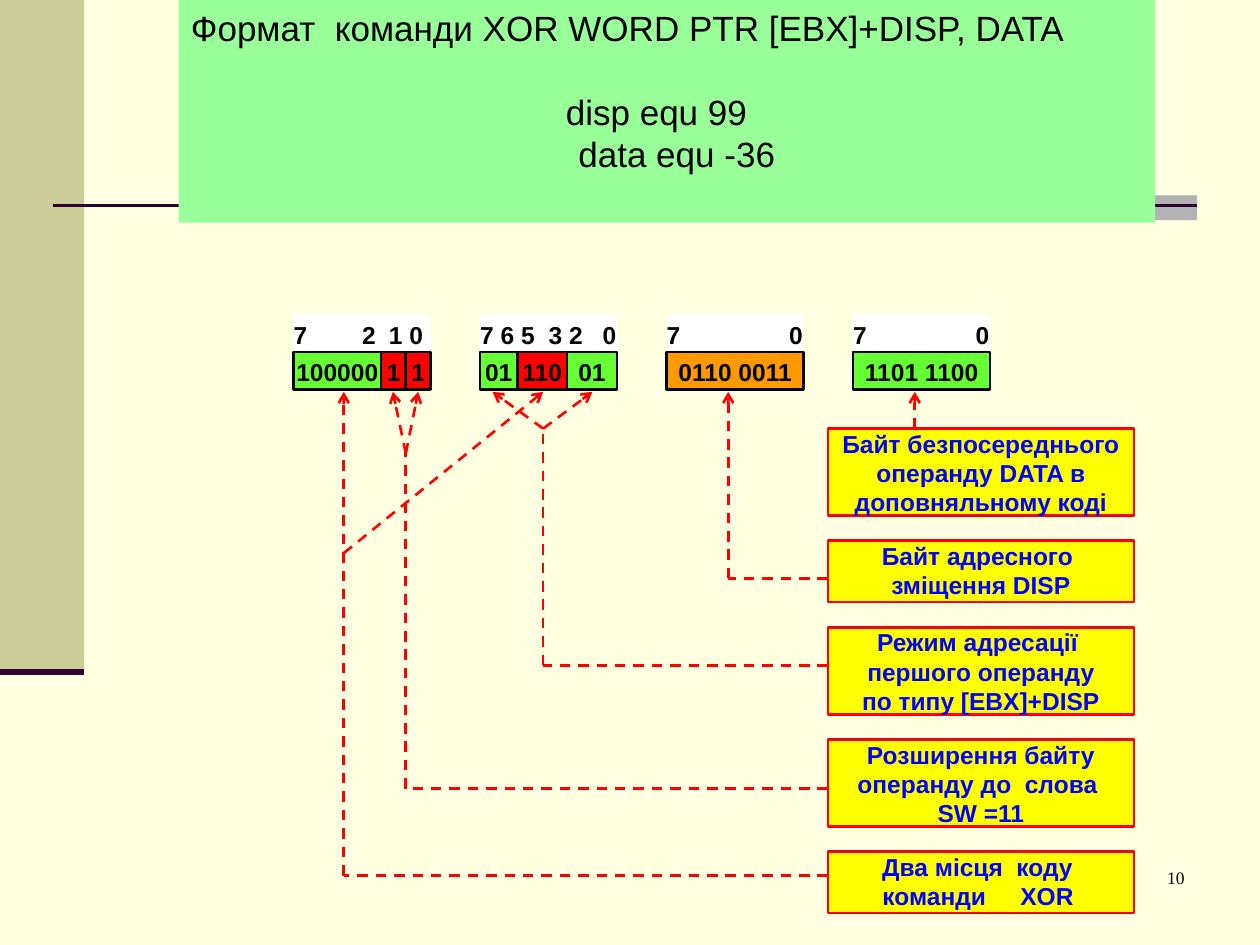
from itertools import pairwise

from lxml.etree import SubElement
from pptx import Presentation
from pptx.dml.color import RGBColor
from pptx.enum.dml import MSO_LINE
from pptx.enum.shapes import MSO_CONNECTOR, MSO_SHAPE
from pptx.enum.text import MSO_ANCHOR, PP_ALIGN
from pptx.oxml.ns import qn
from pptx.util import Cm, Pt

LEFT, MID, RIGHT = PP_ALIGN.LEFT, PP_ALIGN.CENTER, PP_ALIGN.RIGHT
GREEN, RED, ORANGE = "66FF33", "FF0000", "FF9900"
TIP, EDGE = 7.9, 16.69

BYTES = [
    ("7 \t2 \t1 0", [1.38, 1.92],
     [("100000", 1.76, GREEN), ("1", 0.5, RED), ("1", 0.5, RED)]),
    ("7 6 5 \t3 2 \t0", [1.38, 2.47],
     [("01", 0.75, GREEN), ("110", 1, RED), ("01", 1.01, GREEN)]),
    ("7 \t0", [2.47], [("0110 0011", 2.76, ORANGE)]),
    ("7 \t0", [2.47], [("1101 1100", 2.76, GREEN)]),
]

NOTES = [
    (1.75, ["Байт безпосереднього операнду DATA в", "доповняльному коді"]),
    (1.24, ["Байт адресного ", "зміщення DISP"]),
    (1.75, ["Режим адресації ", "першого операнду", "по типу [ЕBX]+DISP"]),
    (1.75, ["Розширення байту", "операнду до  слова ", "SW =11"]),
    (1.24, ["Два місця  коду ", "\tкоманди \tXOR"]),
]

ROUTES = [
    ([(EDGE, 15.9), (8.18, 15.9), (8.18, 9.14)], [(7.92, TIP), (8.43, TIP)]),
    ([(EDGE, 11.66), (14.68, 11.66)], [(14.68, TIP)]),
    ([(EDGE, 13.41), (10.95, 13.41), (10.95, 8.64)], [(9.93, TIP), (11.94, TIP)]),
    ([(18.44, 8.64)], [(18.44, TIP)]),
    ([(6.93, 11.15)], [(10.95, TIP)]),
    ([(EDGE, 17.65), (6.93, 17.65)], [(6.93, TIP)]),
]


def color(text):
    """Turn a hex string into a colour."""
    return RGBColor.from_string(text)


def box(slide, x, y, w, h, fill, edge=None):
    """Draw a filled rectangle with an optional outline."""
    shape = slide.shapes.add_shape(MSO_SHAPE.RECTANGLE, Cm(x), Cm(y), Cm(w), Cm(h))
    shape.shadow.inherit = False
    shape.fill.solid()
    shape.fill.fore_color.rgb = color(fill)
    if edge:
        shape.line.color.rgb = color(edge)
        shape.line.width = Pt(1.5)
    else:
        shape.line.fill.background()
    return shape


def frame(shape, sides=0, top=0):
    """Prepare the text frame of a shape."""
    area = shape.text_frame
    area.word_wrap = True
    area.vertical_anchor = MSO_ANCHOR.TOP
    area.margin_left = area.margin_right = Cm(sides)
    area.margin_top, area.margin_bottom = Cm(top), Cm(0)
    return area


def write(area, lines, size=14, ink="000000", bold=True, align=MID, face="Arial"):
    """Fill a text frame with one paragraph for each line."""
    for index, text in enumerate(lines):
        para = area.add_paragraph() if index else area.paragraphs[0]
        para.alignment = align
        run = para.add_run()
        run.text = text
        run.font.name, run.font.size, run.font.bold = face, Pt(size), bold
        run.font.color.rgb = color(ink)


def tabs(para, stops):
    """Align a paragraph left and give it tab stops."""
    para.alignment = LEFT
    group = SubElement(para._p.get_or_add_pPr(), qn("a:tabLst"))
    for stop in stops:
        SubElement(group, qn("a:tab"), pos=str(int(Cm(stop))), algn="l")


def indent(para, left=0, right=0):
    """Set the side indents of a paragraph."""
    props = para._p.get_or_add_pPr()
    for name, size in (("marL", left), ("marR", right), ("indent", 0)):
        props.set(name, str(int(Cm(size))))


def line(slide, start, end, ink, width=1.5, dash=False, arrow=False):
    """Draw a straight line, dashed or with an arrowhead on request."""
    ends = [Cm(value) for value in (*start, *end)]
    link = slide.shapes.add_connector(MSO_CONNECTOR.STRAIGHT, *ends)
    link.line.color.rgb = color(ink)
    link.line.width = Pt(width)
    if dash:
        link.line.dash_style = MSO_LINE.DASH
    if arrow:
        SubElement(link.line._get_or_add_ln(), qn("a:tailEnd"), type="arrow")
    SubElement(link._element.spPr, qn("a:effectLst"))


def decor(slide):
    """Draw the side band and the rules behind the content."""
    box(slide, 0, 0, 1.7, 13.54, "CCCC99")
    box(slide, 19.05, 3.94, 5.08, 0.5, "B2B2B2")
    line(slide, (1.06, 4.14), (24.13, 4.14), "330033")
    line(slide, (0, 13.54), (1.7, 13.54), "330033", 3.5)


def title(slide):
    """Write the heading panel."""
    area = frame(box(slide, 3.6, 0, 19.69, 4.49, "99FF99"), 0.25, 0.13)
    lines = ["Формат  команди XOR WORD PTR [EBX]+DISP, DATA",
             "disp equ 99", "data equ -36"]
    write(area, lines, size=20, bold=False)
    head, disp, data = area.paragraphs
    head.alignment = LEFT
    head.space_after = Pt(24)
    indent(disp, right=0.42)
    indent(data, left=0.4)


def notes(slide):
    """Stack the yellow notes with equal gaps."""
    top = 8.64
    for high, lines in NOTES:
        area = frame(box(slide, EDGE, top, 6.17, high, "FFFF00", RED))
        write(area, lines, ink="0000FF")
        for para in area.paragraphs:
            if "\t" in para.text:
                tabs(para, [1.1, 3.88])
        top += high + 0.51


def routes(slide):
    """Link the notes to the bit fields."""
    for points, tips in ROUTES:
        for start, end in pairwise(points):
            line(slide, start, end, RED, dash=True)
        for tip in tips:
            line(slide, points[-1], tip, RED, dash=True, arrow=True)


def codes(slide):
    """Draw each byte with its bit numbers and fields."""
    for index, (bits, stops, fields) in enumerate(BYTES):
        x = 5.92 + 3.76 * index
        area = frame(box(slide, x, 6.35, 2.76, 0.75, "FFFFFF"), top=0.1)
        write(area, [bits])
        tabs(area.paragraphs[0], stops)
        for text, wide, fill in fields:
            cell = box(slide, x, 7.1, wide, 0.76, fill, "000000")
            write(frame(cell, top=0.1), [text])
            x += wide


def number(slide):
    """Write the page number."""
    label = slide.shapes.add_textbox(Cm(18.85), Cm(17.35), Cm(5.28), Cm(1.27))
    write(frame(label, 0.25, 0.13), ["10"], size=10, bold=False, align=RIGHT,
          face="Times New Roman")


def main():
    """Build and save the slide."""
    deck = Presentation()
    deck.slide_width, deck.slide_height = Cm(25.4), Cm(19.05)
    slide = deck.slides.add_slide(deck.slide_layouts[6])
    slide.background.fill.solid()
    slide.background.fill.fore_color.rgb = color("FFFFE1")
    for part in (decor, notes, routes, codes, title, number):
        part(slide)
    deck.save("out.pptx")


if __name__ == "__main__":
    main()
